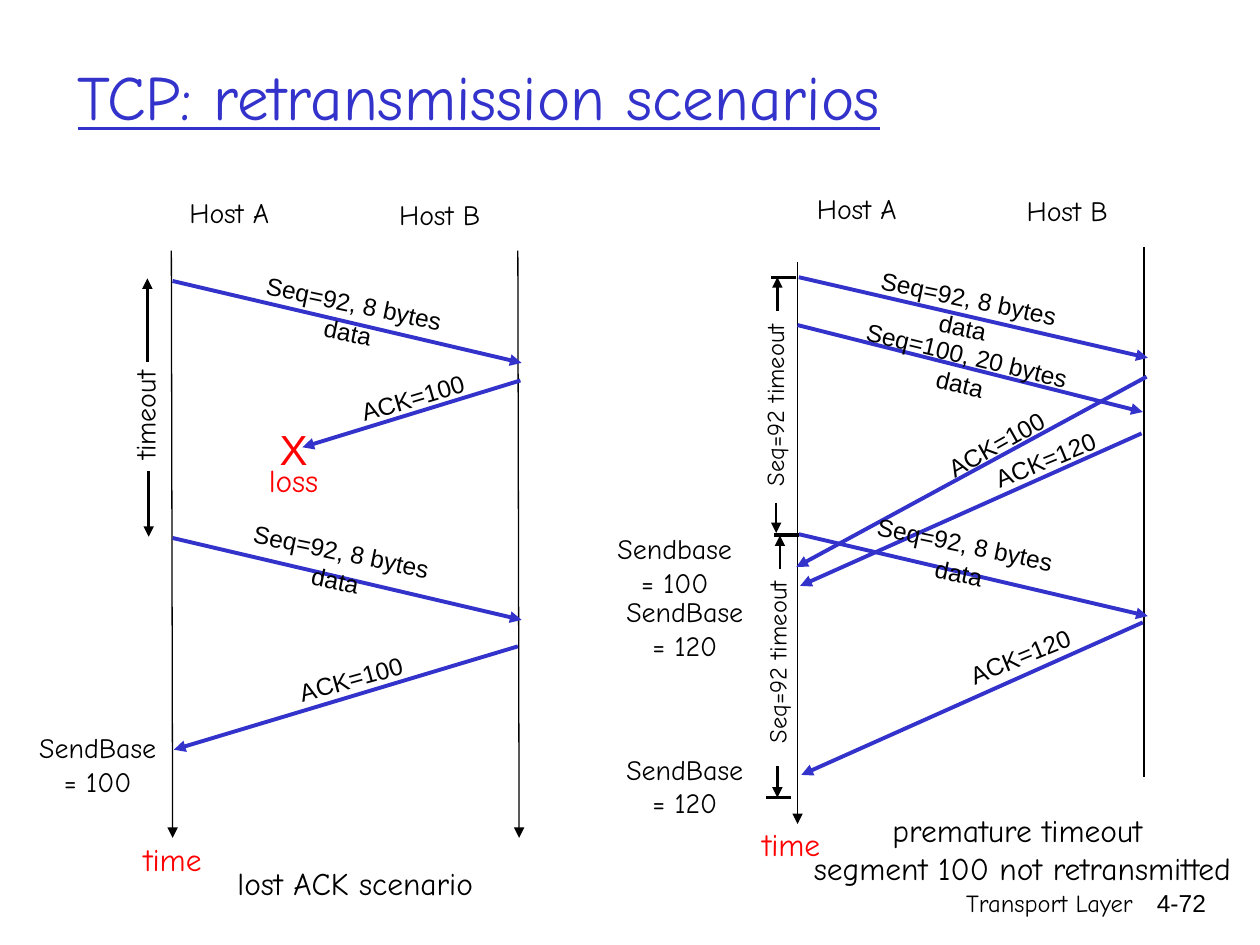
"""Build the slide on TCP retransmission scenarios."""
import pptx
import pptx.dml.color
import pptx.enum.shapes
import pptx.enum.text
import pptx.oxml
import pptx.oxml.ns
import pptx.util
from pptx.util import Inches

BLUE = pptx.dml.color.RGBColor(0x33, 0x33, 0xCC)
BLACK = pptx.dml.color.RGBColor(0, 0, 0)
RED = pptx.dml.color.RGBColor(0xFF, 0, 0)
ARIAL = "Arial"
COMIC = "Comic Neue"
ALIGN = pptx.enum.text.PP_ALIGN
ANCHOR = pptx.enum.text.MSO_ANCHOR

presentation = pptx.Presentation()
presentation.slide_width = Inches(10)
presentation.slide_height = Inches(7.5)
slide = presentation.slides.add_slide(presentation.slide_layouts[6])


def add_label(text, left, top, width, height, size, font=COMIC, color=BLACK,
              rotation=0, align=ALIGN.CENTER, wrap=False):
    shape = slide.shapes.add_textbox(Inches(left), Inches(top), Inches(width), Inches(height))
    shape.rotation = rotation
    shape.text_frame.text = text
    shape.text_frame.word_wrap = wrap
    for paragraph in shape.text_frame.paragraphs:
        paragraph.alignment = align
        for run in paragraph.runs:
            run.font.name = font
            run.font.size = pptx.util.Pt(size)
            run.font.color.rgb = color
    return shape


def add_line(start_x, start_y, end_x, end_y, color, width, arrow=True):
    line = slide.shapes.add_connector(
        pptx.enum.shapes.MSO_CONNECTOR.STRAIGHT,
        Inches(start_x), Inches(start_y), Inches(end_x), Inches(end_y))
    line.line.color.rgb = color
    line.line.width = pptx.util.Pt(width)
    if arrow:
        tail = pptx.oxml.parse_xml(
            f'<a:tailEnd {pptx.oxml.ns.nsdecls("a")} type="triangle"/>')
        line.line._get_or_add_ln().append(tail)
    line._element.spPr.append(
        pptx.oxml.parse_xml(f'<a:effectLst {pptx.oxml.ns.nsdecls("a")}/>'))


title = add_label("TCP: retransmission scenarios", 0.52, 0.26, 8.5, 0.99, 36,
                  color=BLUE, align=ALIGN.LEFT, wrap=True)
title.text_frame.vertical_anchor = ANCHOR.MIDDLE
title.text_frame.paragraphs[0].runs[0].font.underline = True

add_label("Transport Layer", 5.92, 7, 3.17, 0.5, 14, align=ALIGN.RIGHT, wrap=True)
add_label("4-72", 8.93, 7, 0.74, 0.5, 14, ARIAL, align=ALIGN.RIGHT, wrap=True)

for start_x, start_y, end_x, end_y, arrow in [
    (1.36, 1.99, 1.37, 6.65, True),
    (4.11, 1.99, 4.12, 6.65, True),
    (6.33, 2.08, 6.33, 6.54, True),
    (9.08, 1.96, 9.08, 6.17, False),
]:
    add_line(start_x, start_y, end_x, end_y, BLACK, 0.75, arrow)

for message in [
    (1.37, 2.23, 4.14, 2.88),
    (4.13, 3.02, 2.4, 3.55),
    (1.37, 4.27, 4.14, 4.92),
    (4.11, 5.13, 1.38, 5.95),
    (6.34, 2.2, 9.11, 2.84),
    (6.33, 2.58, 9.07, 3.27),
    (9.1, 2.99, 6.32, 4.5),
    (9.06, 3.44, 6.35, 4.65),
    (6.34, 4.24, 9.11, 4.89),
    (9.07, 4.94, 6.36, 6.15),
]:
    add_line(*message, BLUE, 2.25)

for timer_arrow in [
    (1.17, 2.87, 1.17, 2.21),
    (1.18, 3.74, 1.18, 4.26),
    (6.17, 2.47, 6.17, 2.2),
    (6.16, 3.99, 6.16, 4.23),
    (6.19, 4.52, 6.19, 4.25),
    (6.17, 6.08, 6.17, 6.33),
]:
    add_line(*timer_arrow, BLACK, 1.5)

for right, top in [(6.32, 2.2), (6.34, 4.24), (6.34, 4.25), (6.28, 6.33)]:
    add_line(right, top, right - 0.2, top, BLACK, 1.5, arrow=False)

for left, top in [(1.8, 2.24), (1.7, 4.21), (6.68, 2.2), (6.65, 4.15)]:
    add_label("Seq=92, 8 bytes data", left, top, 2.02, 0.33, 14, ARIAL,
              rotation=11.8, wrap=True)
add_label("Seq=100, 20 bytes data", 6.56, 2.65, 2.23, 0.33, 14, ARIAL,
          rotation=13.5, wrap=True)

for text, left, top, rotation in [
    ("ACK=100", 2.75, 2.99, 343.6),
    ("ACK=100", 2.26, 5.22, 344.6),
    ("ACK=100", 7.38, 3.36, 330.5),
    ("ACK=120", 7.77, 3.48, 337.7),
    ("ACK=120", 7.57, 5.04, 337.7),
]:
    add_label(text, left, top, 1.05, 0.33, 14, ARIAL, rotation=rotation)

for text, left, top in [
    ("Host A", 1.36, 1.5),
    ("Host B", 3.03, 1.52),
    ("Host A", 6.34, 1.47),
    ("Host B", 8.01, 1.49),
]:
    add_label(text, left, top, 0.92, 0.37, 16)

add_label("timeout", 0.65, 3.11, 1, 0.37, 16, rotation=270)
for left, top in [(5.33, 3.05), (5.35, 5.09)]:
    add_label("Seq=92 timeout", left, top, 1.63, 0.33, 14, rotation=270)

for text, left, top in [
    ("SendBase\n= 100", 0.17, 5.75),
    ("Sendbase\n= 100", 4.75, 4.17),
    ("SendBase\n= 120", 4.83, 4.67),
    ("SendBase\n= 120", 4.83, 5.92),
]:
    add_label(text, left, top, 1.21, 0.64, 16)

add_label("X", 2.12, 3.31, 0.42, 0.5, 24, ARIAL, RED)
add_label("loss", 2.01, 3.61, 0.64, 0.4, 18, color=RED)
for left, top in [(1.01, 6.62), (5.92, 6.5)]:
    add_label("time", left, top, 0.72, 0.4, 18, color=RED)

add_label("lost ACK scenario", 1.7, 6.81, 2.24, 0.4, 18)
add_label("premature timeout \nsegment 100 not retransmitted", 6.17, 6.39, 3.89, 0.71, 18)

presentation.save("out.pptx")
